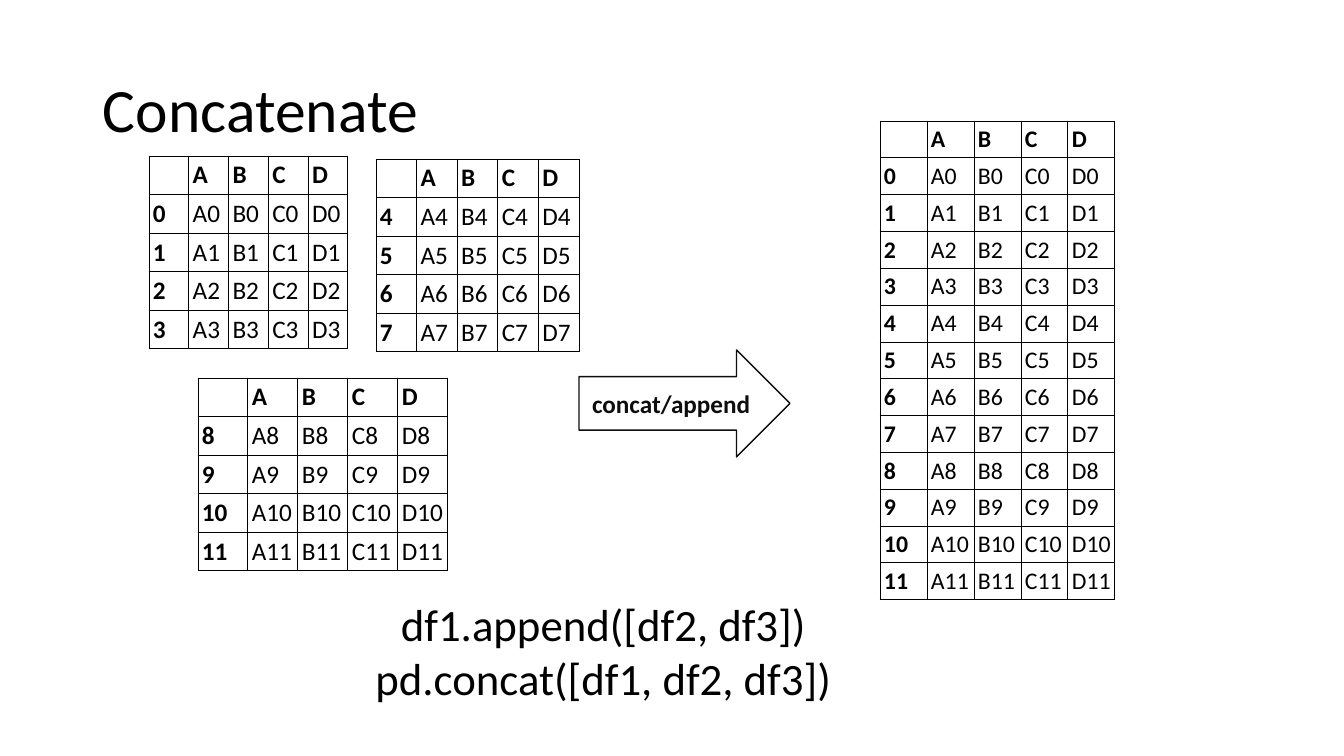
from dataclasses import dataclass

from lxml.etree import SubElement
from pptx import Presentation
from pptx.dml.color import RGBColor
from pptx.enum.shapes import MSO_SHAPE
from pptx.enum.text import MSO_ANCHOR, MSO_AUTO_SIZE, PP_ALIGN
from pptx.oxml.ns import qn
from pptx.util import Emu, Pt


@dataclass(frozen=True)
class Theme:
    font: str = "Calibri"
    ink: str = "000000"
    arrow_ink: str = "0D0D0D"
    paper: str = "FFFFFF"
    title_size: int = 44
    code_size: int = 32
    body_size: int = 18
    result_size: int = 17
    grid_width: float = 0.75
    arrow_width: int = 1


THEME = Theme()
SLIDE_SIZE = (1344, 756)
CELL_INSET = 4

TITLE = "Concatenate"
TITLE_BOX = (93, 40, 1159, 146)
CALLS = ["df1.append([df2, df3])", "pd.concat([df1, df2, df3])"]
CALLS_BOX = (156, 592, 895, 119)
OPERATION = "concat/append"
OPERATION_BOX = (579, 350, 211, 107)
COLUMNS = ["A", "B", "C", "D"]
FRAMES = [
    (range(0, 4), (149, 156, 199, 193), THEME.body_size),
    (range(4, 8), (376, 159, 203, 193), THEME.body_size),
    (range(8, 12), (198, 378, 250, 193), THEME.body_size),
    (range(0, 12), (880, 121, 235, 479), THEME.result_size),
]


def px(length):
    return Emu(round(length * 914400 / 100.8))


def place(box):
    return [px(length) for length in box]


def write(paragraph, words, size, color=THEME.ink, bold=False):
    run = paragraph.add_run()
    run.text = words
    run.font.name = THEME.font
    run.font.size = Pt(size)
    run.font.bold = bold
    run.font.color.rgb = RGBColor.from_string(color)


def paint(fill):
    fill.solid()
    fill.fore_color.rgb = RGBColor.from_string(THEME.paper)


def outline_cell(cell):
    properties = cell._tc.get_or_add_tcPr()
    for position, side in enumerate(("lnL", "lnR", "lnT", "lnB")):
        border = SubElement(properties, qn(f"a:{side}"), w=str(Pt(THEME.grid_width)))
        SubElement(SubElement(border, qn("a:solidFill")), qn("a:srgbClr"), val=THEME.ink)
        properties.insert(position, border)


def add_frame(slide, index, box, size):
    grid = [["", *COLUMNS]]
    grid += [[str(label), *(f"{column}{label}" for column in COLUMNS)] for label in index]
    table = slide.shapes.add_table(len(grid), len(grid[0]), *place(box)).table
    table.first_row = table.horz_banding = False
    for row, entries in enumerate(grid):
        for column, entry in enumerate(entries):
            cell = table.cell(row, column)
            cell.vertical_anchor = MSO_ANCHOR.MIDDLE
            cell.margin_left = cell.margin_right = px(CELL_INSET)
            cell.margin_top = cell.margin_bottom = px(CELL_INSET)
            paint(cell.fill)
            outline_cell(cell)
            paragraph = cell.text_frame.paragraphs[0]
            if entry:
                write(paragraph, entry, size, bold=row == 0 or column == 0)
            else:
                SubElement(paragraph._p, qn("a:endParaRPr"), sz=str(size * 100))


def add_title(slide):
    frame = slide.shapes.add_textbox(*place(TITLE_BOX)).text_frame
    frame.word_wrap = True
    frame.vertical_anchor = MSO_ANCHOR.MIDDLE
    frame.paragraphs[0].line_spacing = 0.9
    write(frame.paragraphs[0], TITLE, THEME.title_size)


def add_calls(slide):
    frame = slide.shapes.add_textbox(*place(CALLS_BOX)).text_frame
    frame.word_wrap = True
    frame.auto_size = MSO_AUTO_SIZE.SHAPE_TO_FIT_TEXT
    for number, call in enumerate(CALLS):
        paragraph = frame.add_paragraph() if number else frame.paragraphs[0]
        paragraph.alignment = PP_ALIGN.CENTER
        write(paragraph, call, THEME.code_size)


def add_operation(slide):
    arrow = slide.shapes.add_shape(MSO_SHAPE.RIGHT_ARROW, *place(OPERATION_BOX))
    arrow.shadow.inherit = False
    paint(arrow.fill)
    arrow.line.color.rgb = RGBColor.from_string(THEME.arrow_ink)
    arrow.line.width = Pt(THEME.arrow_width)
    arrow.text_frame.vertical_anchor = MSO_ANCHOR.MIDDLE
    paragraph = arrow.text_frame.paragraphs[0]
    paragraph.alignment = PP_ALIGN.CENTER
    write(paragraph, OPERATION, THEME.body_size, THEME.arrow_ink, bold=True)


def main():
    deck = Presentation()
    deck.slide_width, deck.slide_height = place(SLIDE_SIZE)
    slide = deck.slides.add_slide(deck.slide_layouts[6])
    paint(slide.background.fill)
    add_title(slide)
    add_calls(slide)
    add_operation(slide)
    for index, box, size in FRAMES:
        add_frame(slide, index, box, size)
    deck.save("out.pptx")


if __name__ == "__main__":
    main()
